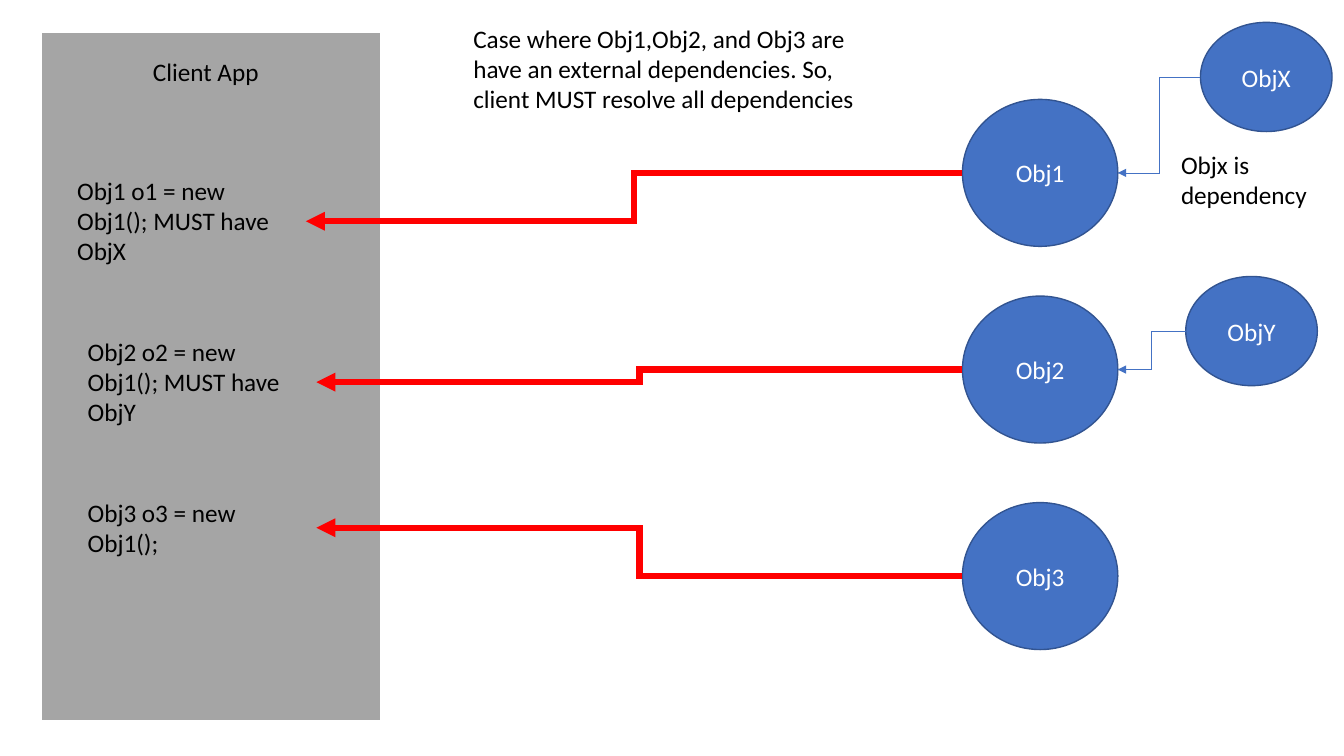
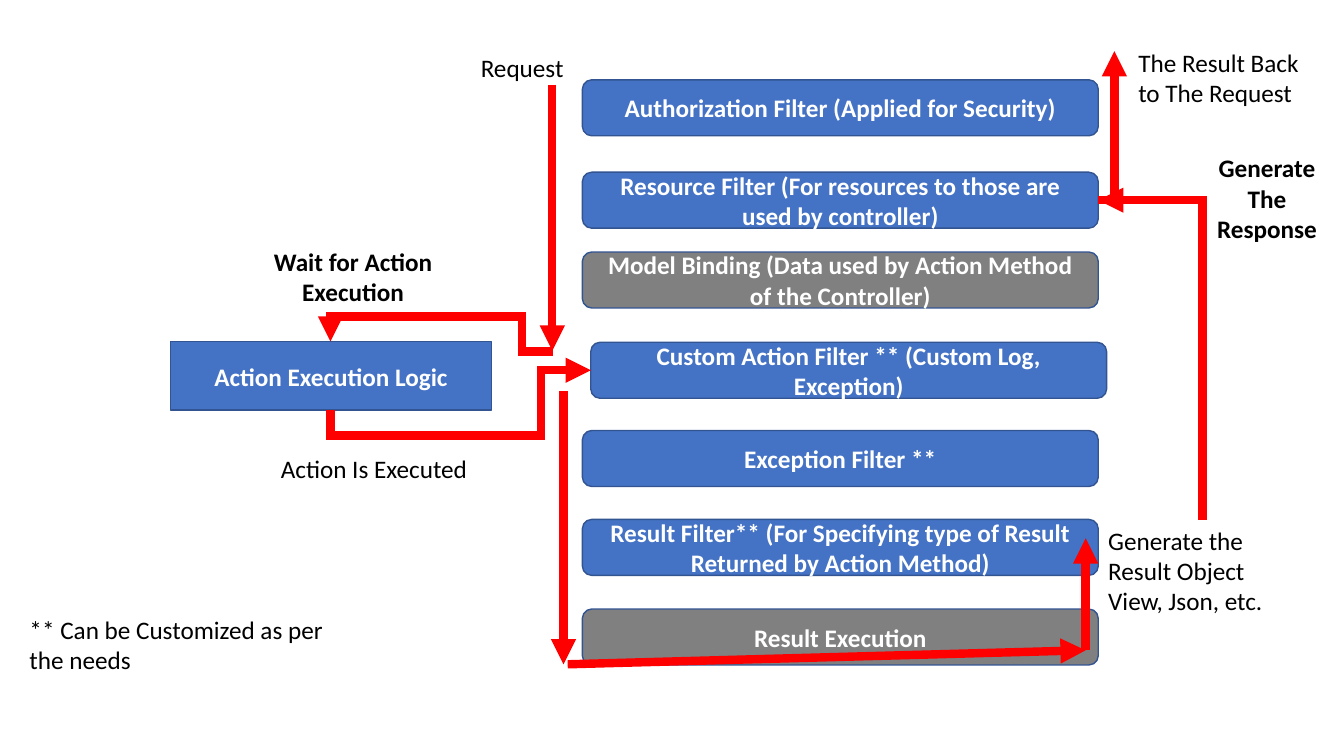
"""Build two diagram slides: object dependencies and the filter pipeline."""
from lxml import etree
from pptx import Presentation
from pptx import util as u
from pptx.dml import color as dml
from pptx.enum import shapes, text
from pptx.oxml import ns

COLORS = {"blue": "4472C4", "outline": "325491", "panel": "A5A5A5", "gray": "808080",
          "red": "FF0000", "white": "FFFFFF", "black": "000000"}
RGB = {name: dml.RGBColor.from_string(value) for name, value in COLORS.items()}
FONT = "Calibri"
FONT_SIZE = 18
SHAPE = shapes.MSO_SHAPE
STRAIGHT = shapes.MSO_CONNECTOR.STRAIGHT
ELBOW = shapes.MSO_CONNECTOR.ELBOW
LEFT = text.PP_ALIGN.LEFT
CENTER = text.PP_ALIGN.CENTER


def add_label(slide, content, box, kind=None, fill="blue", bold=False, align=CENTER):
    """Add a filled shape of the given kind, or a plain text box without one."""
    bounds = [u.Pt(value) for value in box]
    if kind is None:
        shape = slide.shapes.add_textbox(*bounds)
        shape.text_frame.auto_size = text.MSO_AUTO_SIZE.SHAPE_TO_FIT_TEXT
    else:
        shape = slide.shapes.add_shape(kind, *bounds)
        shape.shadow.inherit = False
        shape.fill.solid()
        shape.fill.fore_color.rgb = RGB[fill]
        shape.line.color.rgb = RGB["outline"]
        shape.line.width = u.Pt(1)
        shape.text_frame.vertical_anchor = text.MSO_ANCHOR.MIDDLE
    shape.text_frame.word_wrap = True
    shape.text_frame.text = content
    paragraph = shape.text_frame.paragraphs[0]
    paragraph.alignment = align
    for run in paragraph.runs:
        run.font.name = FONT
        run.font.size = u.Pt(FONT_SIZE)
        run.font.bold = bold
        run.font.color.rgb = RGB["black" if kind is None else "white"]
    return shape


def add_arrow(slide, points, width, color="red", kind=STRAIGHT):
    """Connect two points, or trace a bent route through several."""
    points = [(u.Pt(x), u.Pt(y)) for x, y in points]
    if len(points) == 2:
        arrow = slide.shapes.add_connector(kind, *points[0], *points[1])
    else:
        builder = slide.shapes.build_freeform(*points[0])
        builder.add_line_segments(points[1:], close=False)
        arrow = builder.convert_to_shape()
        arrow.fill.background()
    arrow.line.color.rgb = RGB[color]
    arrow.line.width = u.Pt(width)
    properties = arrow.element.spPr
    line = properties.find(ns.qn("a:ln"))
    etree.SubElement(line, ns.qn("a:miter"), lim="800000")
    etree.SubElement(line, ns.qn("a:tailEnd"), type="triangle")
    etree.SubElement(properties, ns.qn("a:effectLst"))


presentation = Presentation()
presentation.slide_width = u.Pt(960)
presentation.slide_height = u.Pt(540)
blank_layout = presentation.slide_layouts[6]

slide = presentation.slides.add_slide(blank_layout)
panel = add_label(slide, "", (29, 22.5, 243, 492.5), SHAPE.RECTANGLE, "panel")
panel.line.color.rgb = RGB["white"]
panel.line.width = u.Pt(1.5)
add_label(slide, "Client App", (34, 36.5, 226, 29))

OBJECT_LEFT, OBJECT_WIDTH, OBJECT_HEIGHT = 687.5, 111, 105
objects = [
    ("Obj1", 71, "Obj1 o1 = new Obj1(); MUST have ObjX", (48, 121.5, 170.5, 73)),
    ("Obj2", 211.5, "Obj2 o2 = new Obj1(); MUST have ObjY", (55.5, 236.5, 170.5, 73)),
    ("Obj3", 359, "Obj3 o3 = new Obj1();", (55.5, 351.5, 170.5, 51)),
]
for name, top, code, code_box in objects:
    add_label(slide, name, (OBJECT_LEFT, top, OBJECT_WIDTH, OBJECT_HEIGHT), SHAPE.OVAL)
    add_label(slide, code, code_box, align=LEFT)
    code_left, code_top, code_width, code_height = code_box
    add_arrow(slide, [(OBJECT_LEFT, top + OBJECT_HEIGHT / 2),
                      (code_left + code_width, code_top + code_height / 2)], 4.5, kind=ELBOW)

DEPENDENCY_WIDTH, DEPENDENCY_HEIGHT = 94, 78
dependencies = [("ObjX", 857.5, 16, objects[0]), ("ObjY", 847, 197.5, objects[1])]
for name, left, top, target in dependencies:
    add_label(slide, name, (left, top, DEPENDENCY_WIDTH, DEPENDENCY_HEIGHT), SHAPE.OVAL)
    add_arrow(slide, [(left, top + DEPENDENCY_HEIGHT / 2),
                      (OBJECT_LEFT + OBJECT_WIDTH, target[1] + OBJECT_HEIGHT / 2)],
              0.5, "blue", ELBOW)

add_label(slide, "Case where Obj1,Obj2, and Obj3 are have an external dependencies. "
          "So, client MUST resolve all dependencies", (331, 13, 292.5, 73), align=LEFT)
add_label(slide, "Objx is dependency", (836.5, 103, 114.5, 51), align=LEFT)

slide = presentation.slides.add_slide(blank_layout)
FILTER_LEFT, FILTER_WIDTH, FILTER_HEIGHT = 416, 368.5, 40
filters = [
    ("Authorization Filter (Applied for Security)", 0, 57, "blue"),
    ("Resource Filter (For resources to those are used by controller)", 0, 123, "blue"),
    ("Model Binding (Data used by Action Method of the Controller)", 0, 180, "gray"),
    ("Custom Action Filter ** (Custom Log, Exception)", 6, 244.5, "blue"),
    ("Exception Filter **", 0, 307.5, "blue"),
    ("Result Filter** (For Specifying type of Result Returned by Action Method)", 0, 371, "blue"),
    ("Result Execution", 0, 435, "gray"),
]
for name, shift, top, fill in filters:
    add_label(slide, name, (FILTER_LEFT + shift, top, FILTER_WIDTH, FILTER_HEIGHT),
              SHAPE.ROUNDED_RECTANGLE, fill, bold=True)
add_label(slide, "Action Execution Logic", (122, 244, 229, 49), SHAPE.RECTANGLE, bold=True)

routes = [
    [(394.5, 60.5), (394.5, 250.5)],
    [(395, 251), (373, 251), (373, 226), (236, 226), (236, 244)],
    [(236, 293), (236, 311), (386.5, 311), (386.5, 264.5), (422, 264.5)],
    [(402.5, 279.5), (402.5, 474.5)],
    [(405.5, 474.5), (775.5, 464.5)],
    [(775.5, 464.5), (775.5, 384.5)],
    [(859, 371.5), (859, 143), (784.5, 143)],
    [(784.5, 143), (796, 143), (796, 36.5)],
]
for route in routes:
    add_arrow(slide, route, 6)

captions = [
    ("Request", (258.5, 34, 229, 29), False, CENTER),
    ("Wait for Action Execution", (172, 172.5, 160.5, 51), True, CENTER),
    ("Action Is Executed", (193.5, 320.5, 179, 29), False, LEFT),
    ("Generate the Result Object View, Json, etc.", (784.5, 371.5, 148, 73), False, LEFT),
    ("Generate The Response", (850, 105.5, 110, 73), True, CENTER),
    ("The Result Back to The Request", (806, 30, 148, 51), False, LEFT),
    ("** Can be Customized as per the needs", (14, 435, 232.5, 51), False, LEFT),
]
for caption, box, bold, align in captions:
    add_label(slide, caption, box, bold=bold, align=align)

presentation.save("out.pptx")
